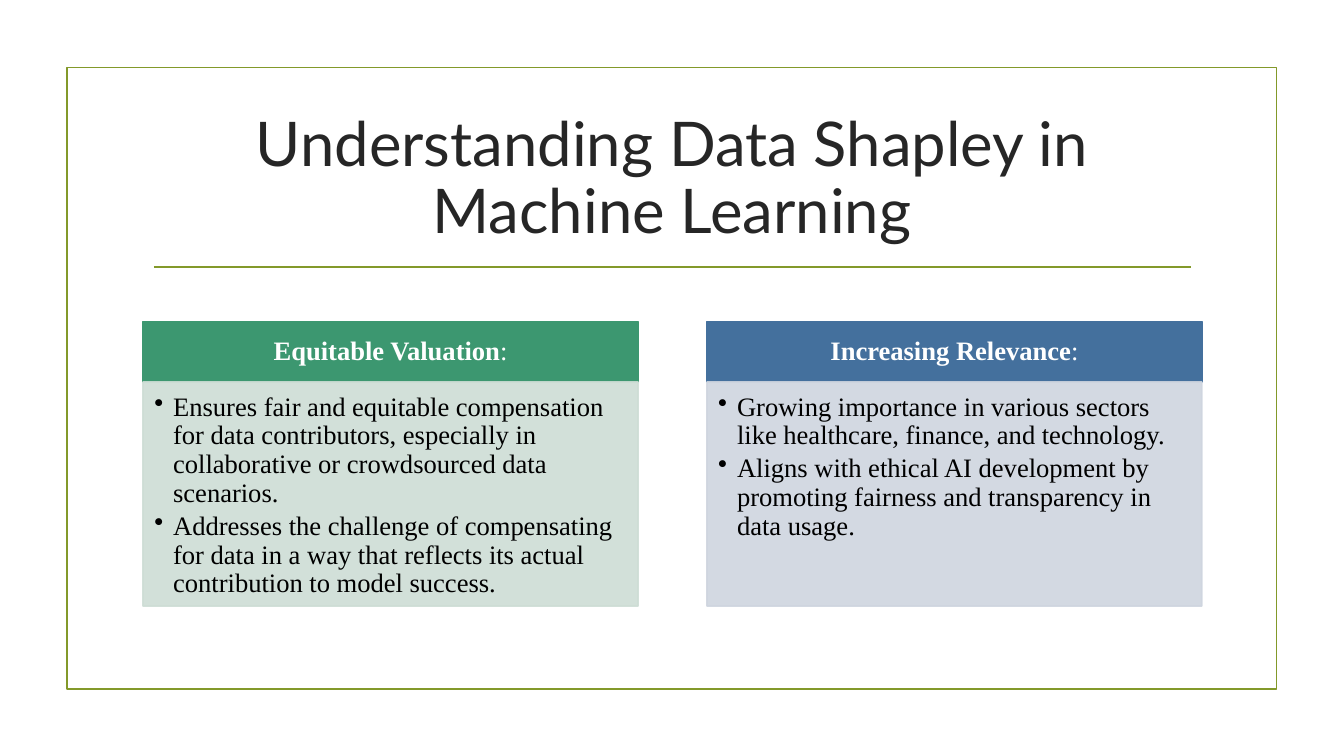
from dataclasses import dataclass

from lxml.etree import SubElement
from pptx import Presentation
from pptx.dml.color import RGBColor
from pptx.enum.shapes import MSO_CONNECTOR as Connector, MSO_SHAPE as Shape
from pptx.enum.text import MSO_ANCHOR as Anchor, PP_ALIGN as Align
from pptx.oxml.ns import qn
from pptx.shapes.autoshape import Shape as AutoShape
from pptx.slide import Slide
from pptx.text.text import TextFrame
from pptx.util import Pt

COLORS = {
    "olive": "83992A",
    "title": "262626",
    "green": "3C9770",
    "pale_green": "CEDDD5",
    "blue": "44709D",
    "pale_blue": "CFD5DF",
    "white": "FFFFFF",
    "black": "000000",
}
TITLE_FONT, BODY_FONT = "Lato", "Times New Roman"
LINE_WIDTH = 1.25
CARD_LEFT, CARD_TOP, CARD_WIDTH, CARD_STEP = 102.2, 229.7, 353.5, 402.8
HEADER_HEIGHT, BODY_HEIGHT = 43.2, 160
BULLET_INDENT = 13.5


@dataclass
class Box:
    left: float
    top: float
    width: float
    height: float

    def lengths(self) -> list[Pt]:
        return [Pt(v) for v in (self.left, self.top, self.width, self.height)]


@dataclass
class Card:
    heading: str
    bullets: list[str]
    header_color: str
    body_color: str


CARDS = [
    Card(
        "Equitable Valuation",
        [
            "Ensures fair and equitable compensation for data contributors, "
            "especially in collaborative or crowdsourced data scenarios.",
            "Addresses the challenge of compensating for data in a way that "
            "reflects its actual contribution to model success.",
        ],
        "green", "pale_green",
    ),
    Card(
        "Increasing Relevance",
        [
            "Growing importance in various sectors like healthcare, finance, and technology.",
            "Aligns with ethical AI development by promoting fairness and "
            "transparency in data usage.",
        ],
        "blue", "pale_blue",
    ),
]


def rgb(name: str) -> RGBColor:
    return RGBColor.from_string(COLORS[name])


def add_rect(s: Slide, box: Box, line: str, fill: str | None = None) -> AutoShape:
    sp = s.shapes.add_shape(Shape.RECTANGLE, *box.lengths())
    sp.shadow.inherit = False
    if fill:
        sp.fill.solid()
        sp.fill.fore_color.rgb = rgb(fill)
    else:
        sp.fill.background()
    sp.line.color.rgb = rgb(line)
    sp.line.width = Pt(LINE_WIDTH)
    return sp


def set_frame(tf: TextFrame, anchor: Anchor, margins: tuple[float, ...]) -> None:
    tf.word_wrap = True
    tf.vertical_anchor = anchor
    tf.margin_left, tf.margin_top, tf.margin_right, tf.margin_bottom = map(Pt, margins)


def style_paragraph(p, font: str, size: float, color: str, align: Align) -> None:
    p.alignment = align
    p.line_spacing = 0.9
    p.font.name = font
    p.font.size = Pt(size)
    p.font.color.rgb = rgb(color)


def add_bullet(p) -> None:
    pPr = p._p.get_or_add_pPr()
    pPr.set("marL", str(Pt(BULLET_INDENT)))
    pPr.set("indent", str(-Pt(BULLET_INDENT)))
    bullet = pPr.makeelement(qn("a:buChar"), {"char": "•"})
    pPr.insert_element_before(bullet, "a:tabLst", "a:defRPr", "a:extLst")


def make_translucent(sp: AutoShape, percent: int) -> None:
    for color in sp._element.spPr.iter(qn("a:srgbClr")):
        SubElement(color, qn("a:alpha"), val=str(percent * 1000))


def add_title(s: Slide, text: str) -> None:
    tf = s.shapes.add_textbox(*Box(102.2, 77, 756, 103).lengths()).text_frame
    set_frame(tf, Anchor.MIDDLE, (7.2, 3.6, 7.2, 3.6))
    p = tf.paragraphs[0]
    p.text = text
    style_paragraph(p, TITLE_FONT, 44, "title", Align.CENTER)


def add_rule(s: Slide, left: float, right: float, y: float) -> None:
    line = s.shapes.add_connector(Connector.STRAIGHT, Pt(left), Pt(y), Pt(right), Pt(y))
    line.line.color.rgb = rgb("olive")
    line.line.width = Pt(LINE_WIDTH)
    SubElement(line._element.spPr, qn("a:effectLst"))


def add_card(s: Slide, card: Card, left: float) -> None:
    # Header
    box = Box(left, CARD_TOP, CARD_WIDTH, HEADER_HEIGHT)
    tf = add_rect(s, box, card.header_color, card.header_color).text_frame
    set_frame(tf, Anchor.MIDDLE, (10.6, 6.1, 10.6, 6.1))
    p = tf.paragraphs[0]
    style_paragraph(p, BODY_FONT, 19, "white", Align.CENTER)
    for text, bold in ((card.heading, True), (":", False)):
        r = p.add_run()
        r.text = text
        r.font.bold = bold

    # Body with bullets
    box = Box(left, CARD_TOP + HEADER_HEIGHT, CARD_WIDTH, BODY_HEIGHT)
    sp = add_rect(s, box, card.body_color, card.body_color)
    make_translucent(sp, 90)
    tf = sp.text_frame
    set_frame(tf, Anchor.TOP, (8, 8, 10.6, 12))
    for i, text in enumerate(card.bullets):
        p = tf.add_paragraph() if i else tf.paragraphs[0]
        p.text = text
        style_paragraph(p, BODY_FONT, 19, "black", Align.LEFT)
        p.space_after = Pt(3)
        add_bullet(p)


def main() -> None:
    prs = Presentation()
    prs.slide_width, prs.slide_height = Pt(960), Pt(540)
    s = prs.slides.add_slide(prs.slide_layouts[6])

    # Frame, rule and title
    add_rect(s, Box(47.8, 48.2, 864, 444), "olive")
    add_rule(s, 110, 850.5, 190.8)
    add_title(s, "Understanding Data Shapley in Machine Learning")

    # Cards
    for i, card in enumerate(CARDS):
        add_card(s, card, CARD_LEFT + i * CARD_STEP)

    prs.save("out.pptx")


if __name__ == "__main__":
    main()
